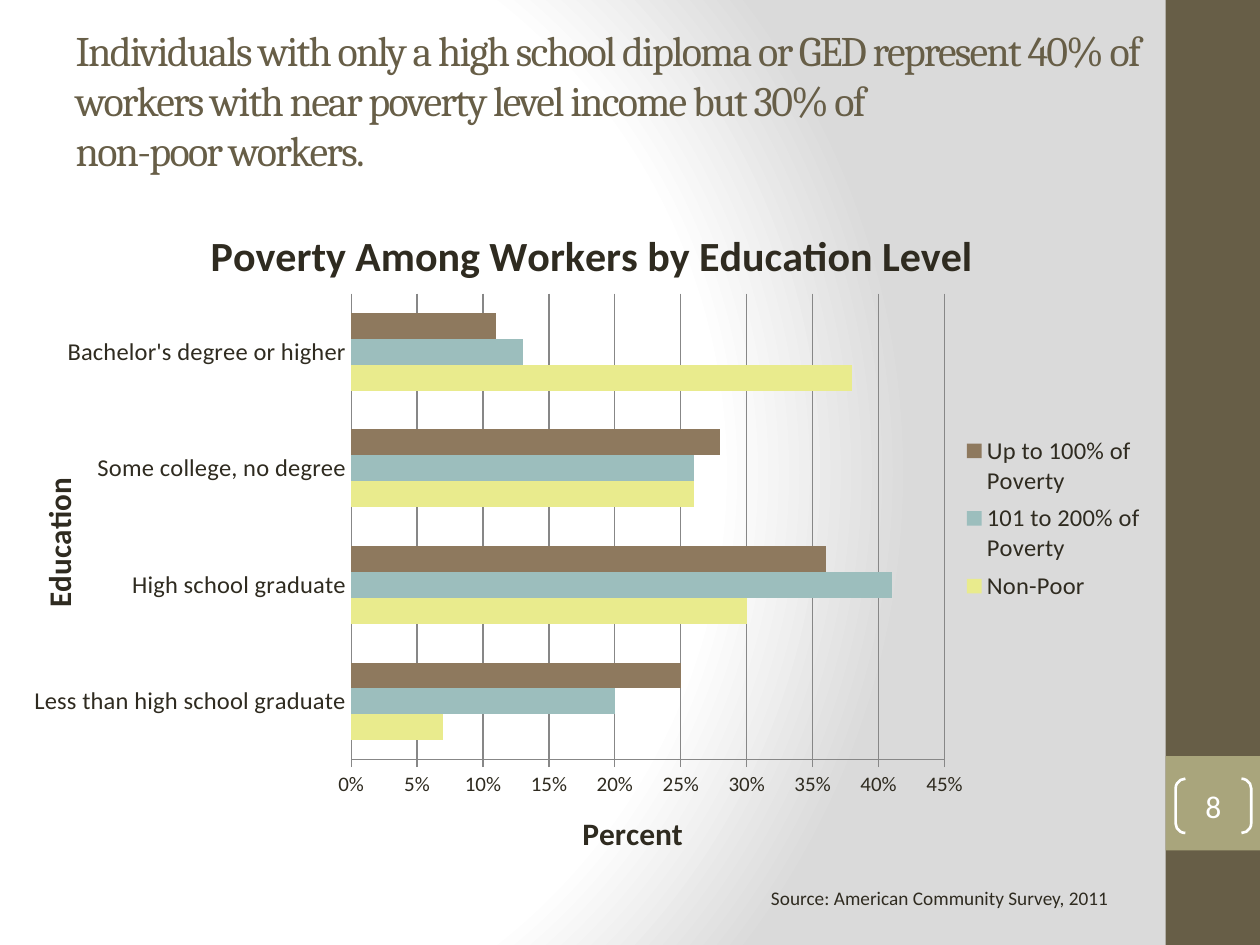
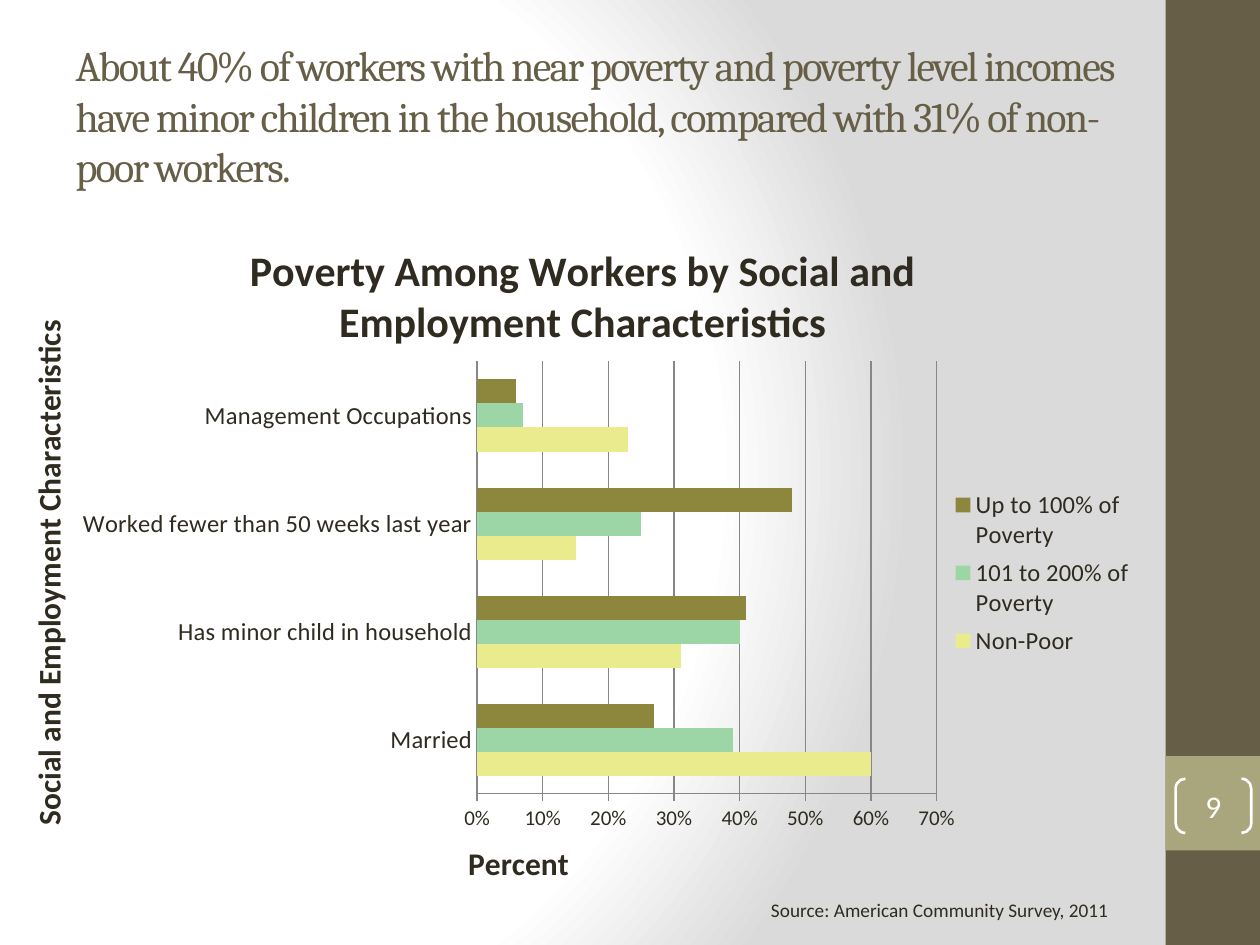
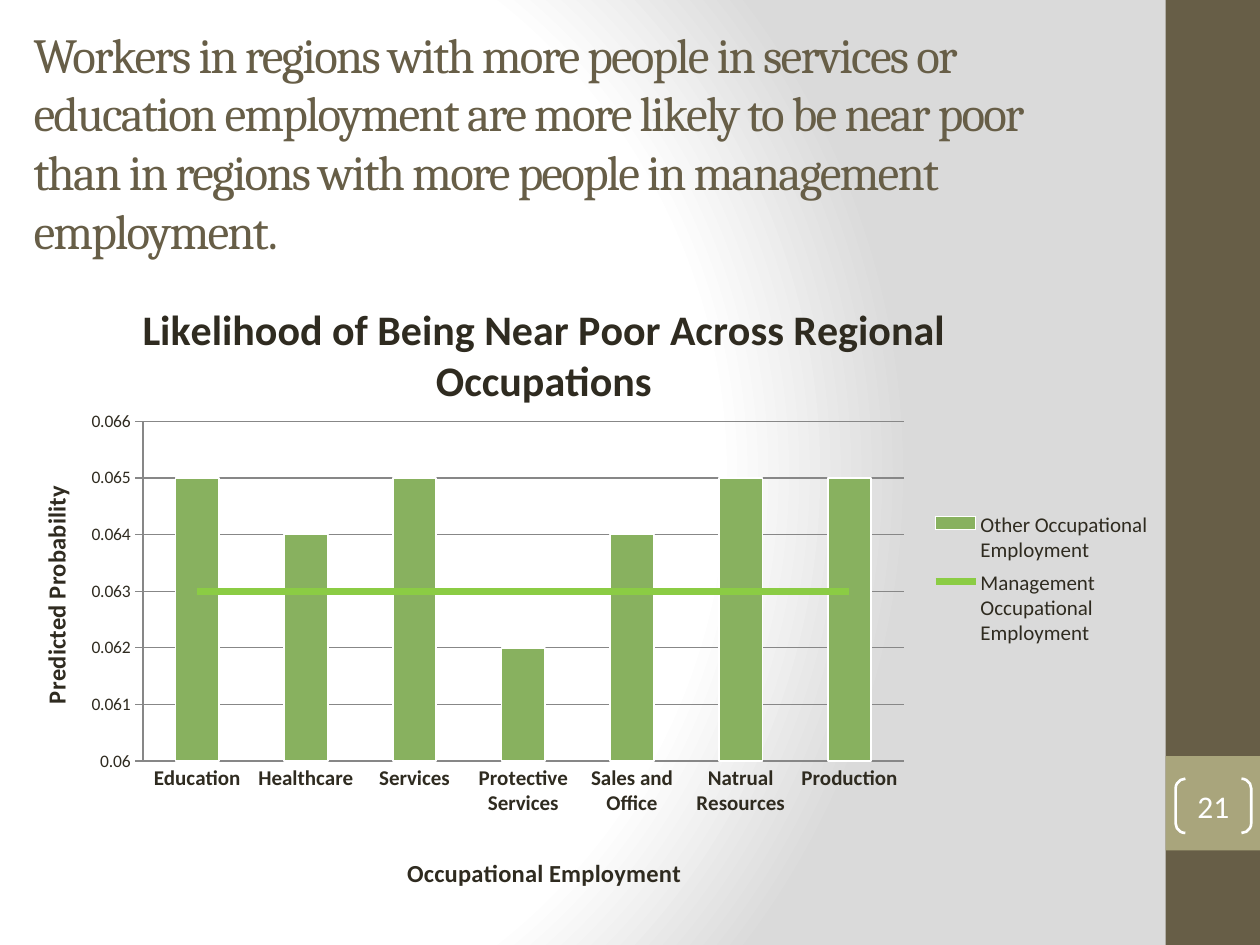
import pptx
import pptx.chart.data
import pptx.dml.color
import pptx.enum.chart
import pptx.enum.shapes
import pptx.enum.text
import pptx.oxml
import pptx.oxml.ns
import pptx.util

Pt = pptx.util.Pt
RGBColor = pptx.dml.color.RGBColor
qn = pptx.oxml.ns.qn
ChartType = pptx.enum.chart.XL_CHART_TYPE
TickMark = pptx.enum.chart.XL_TICK_MARK
ShapeType = pptx.enum.shapes.MSO_SHAPE
Align = pptx.enum.text.PP_ALIGN
Anchor = pptx.enum.text.MSO_ANCHOR
AutoSize = pptx.enum.text.MSO_AUTO_SIZE

# Shared colours and fonts
WHITE = RGBColor(0xFF, 0xFF, 0xFF)
BROWN = RGBColor(0x67, 0x5E, 0x47)
KHAKI = RGBColor(0xA9, 0xA5, 0x7C)
INK = RGBColor(0x2F, 0x2B, 0x20)
GRID_GRAY = RGBColor(0x87, 0x87, 0x87)
YELLOW = RGBColor(0xE9, 0xEB, 0x8D)
TEAL = RGBColor(0x9C, 0xBE, 0xBD)
TAN = RGBColor(0x8E, 0x79, 0x5E)
MINT = RGBColor(0x9C, 0xD6, 0xA6)
OLIVE = RGBColor(0x8D, 0x87, 0x3E)
GREEN = RGBColor(0x88, 0xB1, 0x5F)
LIME = RGBColor(0x8B, 0xCC, 0x44)
HEADING_FONT = "Cambria"
BODY_FONT = "Calibri"

NAMESPACE_A = pptx.oxml.ns.nsdecls("a")
NAMESPACE_C = pptx.oxml.ns.nsdecls("c")
BACKGROUND_GRADIENT = f"""<a:gradFill {NAMESPACE_A} rotWithShape="1"><a:gsLst>
<a:gs pos="0"><a:srgbClr val="FFFFFF"/></a:gs>
<a:gs pos="75000"><a:srgbClr val="FFFFFF"/></a:gs>
<a:gs pos="100000"><a:srgbClr val="DADADA"/></a:gs></a:gsLst>
<a:path path="circle"><a:fillToRect l="20000" t="50000" r="100000" b="50000"/></a:path>
</a:gradFill>"""


# Text
def style_font(font, size, color=INK, name=BODY_FONT, bold=False):
    font.size = Pt(size)
    font.name = name
    font.bold = bold
    font.color.rgb = color


def write_text(text_frame, text, align=Align.LEFT, **font_format):
    paragraph = text_frame.paragraphs[0]
    paragraph.text = text
    paragraph.alignment = align
    for run in paragraph.runs:
        style_font(run.font, **font_format)


def add_title(slide, text, box, size):
    title = slide.shapes.title
    title.left, title.top, title.width, title.height = map(Pt, box)
    title.text_frame.auto_size = AutoSize.NONE
    title.text_frame.vertical_anchor = Anchor.MIDDLE
    write_text(title.text_frame, text, size=size, color=BROWN, name=HEADING_FONT)
    for properties in title.element.iter(qn("a:rPr")):
        properties.set("spc", "-100")


def add_source(slide, top):
    box = slide.shapes.add_textbox(Pt(433.5), Pt(top), Pt(210), Pt(23))
    box.text_frame.word_wrap = False
    write_text(box.text_frame, "Source: American Community Survey, 2011", size=11)


def add_page_number(slide, number):
    bracket = slide.shapes.add_shape(
        ShapeType.DOUBLE_BRACKET, Pt(671.8), Pt(445), Pt(43.2), Pt(31))
    bracket.shadow.inherit = False
    bracket.adjustments[0] = 0.18
    bracket.fill.background()
    bracket.line.color.rgb = WHITE
    bracket.line.width = Pt(1.5)
    frame = bracket.text_frame
    frame.margin_left = frame.margin_right = frame.margin_top = frame.margin_bottom = 0
    frame.vertical_anchor = Anchor.MIDDLE
    write_text(frame, str(number), Align.CENTER, size=18, color=WHITE)


# Master: background and side band
def set_background(master):
    master.background.fill.gradient()
    gradient = next(master.element.iter(qn("a:gradFill")))
    gradient.getparent().replace(gradient, pptx.oxml.parse_xml(BACKGROUND_GRADIENT))


def add_side_band(slide, master):
    """Draw the band on a slide, then move it behind everything on the master."""
    blocks = [(0, 540, BROWN), (432, 54, KHAKI)]
    for index, (top, height, color) in enumerate(blocks):
        block = slide.shapes.add_shape(
            ShapeType.RECTANGLE, Pt(666), Pt(top), Pt(54), Pt(height))
        block.shadow.inherit = False
        block.fill.solid()
        block.fill.fore_color.rgb = color
        block.line.fill.background()
        block.element.nvSpPr.cNvPr.set("id", str(100 + index))
        master.shapes.element.insert(2 + index, block.element)


# Charts
def set_layout(element, index, percents, target=""):
    """Place a chart part by x, y and perhaps w, h, in percent of the chart."""
    for layout in element.findall(qn("c:layout")):
        element.remove(layout)
    modes = "".join(f'<c:{key}Mode val="edge"/>' for key in "xy")
    values = "".join(f'<c:{key} val="{percent / 100:.3f}"/>'
                     for key, percent in zip("xywh", percents))
    element.insert(index, pptx.oxml.parse_xml(
        f"<c:layout {NAMESPACE_C}><c:manualLayout>{target}{modes}{values}"
        "</c:manualLayout></c:layout>"))


def write_chart_title(title, text, size, position):
    write_text(title.text_frame, text, Align.CENTER, size=size, bold=True)
    set_layout(title.element, 1, position)


def style_axis(axis, label_size, tick_mark, bold=False):
    axis.major_tick_mark = tick_mark
    axis.minor_tick_mark = TickMark.NONE
    style_font(axis.tick_labels.font, label_size, bold=bold)
    axis.format.line.color.rgb = GRID_GRAY
    axis.format.line.width = Pt(0.75)


def add_chart(slide, kind, box, plot_area, legend_area, categories, series, scale,
              number_format, titles, title_sizes, label_sizes, bold_categories=False):
    """Series are (name, values, colour); scale is (minimum, maximum, step);
    titles for chart, category axis and value axis are (text, x, y).
    Areas and title positions are in percent of the chart."""
    data = pptx.chart.data.CategoryChartData()
    data.categories = categories
    for name, values, _ in series:
        data.add_series(name, values)
    chart = slide.shapes.add_chart(kind, *map(Pt, box), data).chart
    style_font(chart.font, 10)
    category_size, value_size, legend_size = label_sizes

    # Axes
    style_axis(chart.category_axis, category_size, TickMark.NONE, bold_categories)
    chart.category_axis.has_major_gridlines = False
    axis = chart.value_axis
    style_axis(axis, value_size, TickMark.OUTSIDE)
    axis.minimum_scale, axis.maximum_scale, axis.major_unit = scale
    axis.tick_labels.number_format = number_format
    axis.tick_labels.number_format_is_linked = False
    axis.has_major_gridlines = True
    axis.major_gridlines.format.line.color.rgb = GRID_GRAY
    axis.major_gridlines.format.line.width = Pt(0.75)

    # Titles
    chart.has_title = True
    parts = [chart.chart_title, chart.category_axis.axis_title, axis.axis_title]
    for part, size, (text, *position) in zip(parts, title_sizes, titles):
        write_chart_title(part, text, size, position)

    # Legend and plot
    chart.has_legend = True
    chart.legend.position = pptx.enum.chart.XL_LEGEND_POSITION.RIGHT
    chart.legend.include_in_layout = False
    style_font(chart.legend.font, legend_size)
    set_layout(next(chart.element.iter(qn("c:legend"))), 1, legend_area)
    set_layout(next(chart.element.iter(qn("c:plotArea"))), 0, plot_area,
               '<c:layoutTarget val="inner"/>')
    plot = chart.plots[0]
    plot.gap_width = 150
    plot.overlap = 0
    plot.vary_by_categories = False
    for bars, (_, _, color) in zip(plot.series, series):
        bars.invert_if_negative = False
        bars.format.fill.solid()
        bars.format.fill.fore_color.rgb = color
    return chart


def add_poverty_chart(slide, box, plot_area, legend_area, categories, series, scale, titles):
    names = ["Non-Poor", "101 to 200% of Poverty", "Up to 100% of Poverty"]
    named_series = [(name, *rest) for name, rest in zip(names, series)]
    add_chart(slide, ChartType.BAR_CLUSTERED, box, plot_area, legend_area, categories,
              named_series, scale, "0%", titles, (24, 18, 18), (14, 12, 14))


def turn_last_series_into_line(chart, color, width):
    bar_chart = next(chart.element.iter(qn("c:barChart")))
    line_chart = pptx.oxml.parse_xml(
        f'<c:lineChart {NAMESPACE_C}><c:grouping val="standard"/>'
        '<c:varyColors val="0"/><c:marker val="1"/></c:lineChart>')
    series = bar_chart.findall(qn("c:ser"))[-1]
    for tag in ("c:invertIfNegative", "c:spPr"):
        for child in series.findall(qn(tag)):
            series.remove(child)
    line_chart.insert(2, series)
    for axis_id in bar_chart.findall(qn("c:axId")):
        line_chart.append(pptx.oxml.parse_xml(
            f'<c:axId {NAMESPACE_C} val="{axis_id.get("val")}"/>'))
    bar_chart.addnext(line_chart)

    line = chart.plots[1].series[0]
    line.smooth = False
    line.marker.style = pptx.enum.chart.XL_MARKER_STYLE.NONE
    line.format.line.color.rgb = color
    line.format.line.width = Pt(width)


# Slides
def build_education(slide):
    add_title(slide, "Individuals with only a high school diploma or GED represent 40% of "
              "workers with near poverty level income but 30% of \vnon-poor workers.",
              (36, 12, 630, 90), 24)
    add_page_number(slide, 8)
    add_poverty_chart(
        slide, (18, 119, 641, 374), (28.5, 13.2, 52.9, 72.1), (82.5, 34, 17.2, 28),
        ["Less than high school graduate", "High school graduate",
         "Some college, no degree", "Bachelor's degree or higher"],
        [([0.07, 0.30, 0.26, 0.38], YELLOW),
         ([0.20, 0.41, 0.26, 0.13], TEAL),
         ([0.25, 0.36, 0.28, 0.11], TAN)],
        (0, 0.45, 0.05),
        [("Poverty Among Workers by Education Level", 15.3, 1.8),
         ("Education", 0, 41), ("Percent", 48.6, 92.5)])
    add_source(slide, 503)


def build_characteristics(slide):
    add_title(slide, "About 40% of workers with near poverty and poverty level incomes have "
              "minor children in the household, compared with 31% of non-poor workers.",
              (36, 12, 630, 108), 24)
    add_page_number(slide, 9)
    add_source(slide, 510)
    add_poverty_chart(
        slide, (12, 126, 642, 384), (40.6, 21, 40.9, 64.4), (82.3, 39, 17.2, 27),
        ["Married", "Has minor child in household",
         "Worked fewer than 50 weeks last year", "Management Occupations"],
        [([0.60, 0.31, 0.15, 0.23], YELLOW),
         ([0.39, 0.40, 0.25, 0.07], MINT),
         ([0.27, 0.41, 0.48, 0.06], OLIVE)],
        (0, 0.7, 0.1),
        [("Poverty Among Workers by Social and Employment Characteristics", 19.7, 2.1),
         ("Social and Employment Characteristics", 0, 14.1),
         ("Percent", 39.3, 91.6)])


def build_occupations(slide):
    add_title(slide, "Workers in regions with more people in services or education employment "
              "are more likely to be near poor than in regions with more people in "
              "management employment.", (12, 12, 618, 138), 28)
    add_page_number(slide, 21)
    categories = ["Education", "Healthcare", "Services", "Protective Services",
                  "Sales and Office", "Natrual Resources", "Production"]
    chart = add_chart(
        slide, ChartType.COLUMN_CLUSTERED, (12, 168, 651, 344),
        (10.7, 21.2, 66.8, 56.6), (79.6, 35, 20, 25), categories,
        [("Other Occupational Employment",
          [0.065, 0.064, 0.065, 0.062, 0.064, 0.065, 0.065], GREEN),
         ("Management Occupational Employment", [0.063] * len(categories), LIME)],
        (0.06, 0.066, 0.001), "General",
        [("Likelihood of Being Near Poor Across Regional Occupations", 10, 0),
         ("Occupational Employment", 33.5, 92.8),
         ("Predicted Probability", 1.2, 31.3)],
        (24, 14, 14), (12, 10, 12), bold_categories=True)
    turn_last_series_into_line(chart, LIME, 4)
    outline = chart.plots[0].series[0].format.line
    outline.color.rgb = WHITE
    outline.width = Pt(1)


def main():
    presentation = pptx.Presentation()
    presentation.slide_width, presentation.slide_height = Pt(720), Pt(540)
    master = presentation.slide_master
    set_background(master)
    title_only = presentation.slide_layouts[5]
    builders = [build_education, build_characteristics, build_occupations]
    slides = [presentation.slides.add_slide(title_only) for _ in builders]
    add_side_band(slides[0], master)
    for build, slide in zip(builders, slides):
        build(slide)
    presentation.save("out.pptx")


if __name__ == "__main__":
    main()
